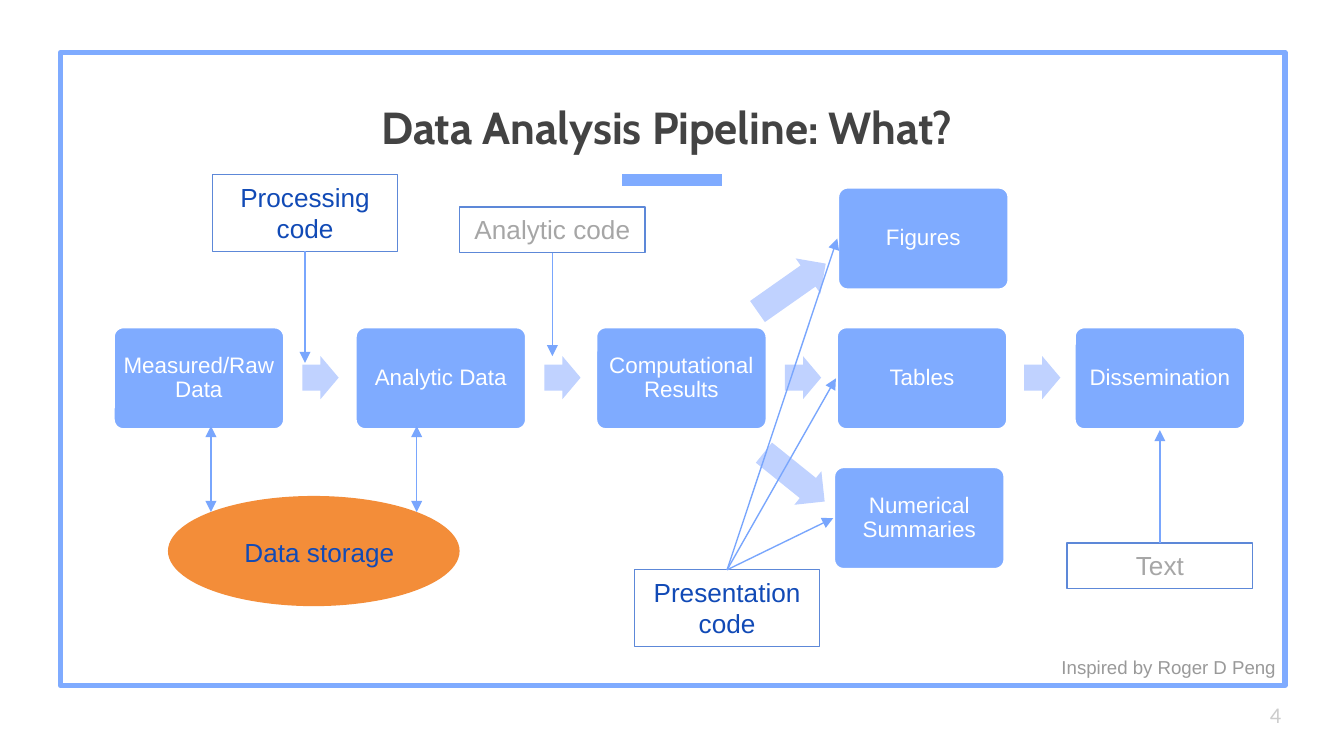
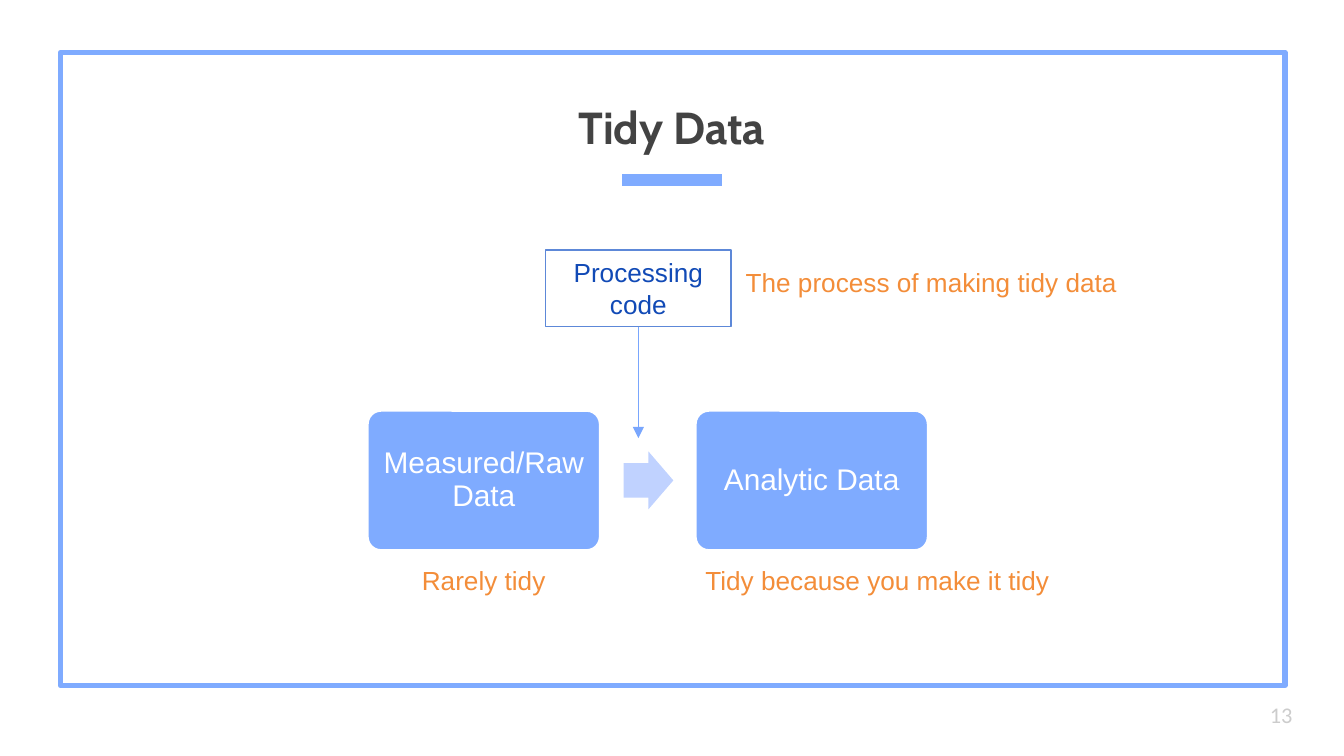
import pptx
import pptx.dml.color
import pptx.enum.shapes
import pptx.enum.text
import pptx.oxml
import pptx.oxml.ns
import pptx.util

SCALE = 9144  # EMU in one px, 100 px to the inch
SHAPE = pptx.enum.shapes.MSO_SHAPE
ALIGN = pptx.enum.text.PP_ALIGN
ANCHOR = pptx.enum.text.MSO_ANCHOR

COLORS = {
    "sky": "7FABFF", "pale": "C0D2FF", "outline": "5D88D8", "link": "79A6FD",
    "navy": "114AB6", "orange": "F38D39", "white": "FFFFFF", "title": "434343",
    "muted": "A6A6A6", "credit": "999999", "number": "CCCCCC",
}

# Font values for each role of text
FONTS = {
    "title": {"name": "Cabin", "size": pptx.util.Pt(24), "bold": True},
    "stage": {"name": "Arial", "size": pptx.util.Pt(12)},
    "large stage": {"name": "Arial", "size": pptx.util.Pt(16)},
    "note": {"name": "Arial", "size": pptx.util.Pt(14)},
    "credit": {"name": "Arial", "size": pptx.util.Pt(10)},
    "number": {"name": "Calibri", "size": pptx.util.Pt(12)},
}


def px(*lengths):
    return [pptx.util.Emu(length * SCALE) for length in lengths]


def rgb(color):
    return pptx.dml.color.RGBColor.from_string(COLORS[color])


def set_values(target, values):
    for name, value in values.items():
        setattr(target, name, value)


# Text
def write(shape, text, role, color, align=ALIGN.CENTER, anchor=ANCHOR.TOP,
          inset=(10, 5), spacing=None):
    side, top = px(*inset)
    frame = shape.text_frame
    set_values(frame, {
        "word_wrap": True, "vertical_anchor": anchor, "margin_left": side,
        "margin_right": side, "margin_top": top, "margin_bottom": top,
    })
    para = frame.paragraphs[0]
    set_values(para, {"alignment": align, "line_spacing": spacing})
    span = para.add_run()
    span.text = text
    set_values(span.font, FONTS[role])
    span.font.color.rgb = rgb(color)


def add_text(page, bounds, text, role, color, align=ALIGN.LEFT, **layout):
    box = page.shapes.add_textbox(*px(*bounds))
    write(box, text, role, color, align, **layout)


# Shapes
def add_shape(page, kind, bounds, fill=None, line=None, width=0.75, adjust=()):
    shape = page.shapes.add_shape(kind, *px(*bounds))
    shape.shadow.inherit = False
    for index, value in enumerate(adjust):
        shape.adjustments[index] = value
    for part, color in ((shape.fill, fill), (shape.line.fill, line)):
        if color:
            part.solid()
            part.fore_color.rgb = rgb(color)
        else:
            part.background()
    if line:
        shape.line.width = pptx.util.Pt(width)
    return shape


def add_stage(page, bounds, text, role="stage", inset=5):
    box = add_shape(page, SHAPE.ROUNDED_RECTANGLE, bounds, "sky", "white", 2, [0.1])
    write(box, text, role, "white", anchor=ANCHOR.MIDDLE,
          inset=(inset, inset), spacing=0.9)
    return box


def add_flow_arrow(page, bounds, rotation=0):
    arrow = add_shape(page, SHAPE.RIGHT_ARROW, bounds, "pale", adjust=[0.6, 0.5])
    arrow.rotation = rotation


def add_stage_row(page, lefts, texts, top, size, arrow_size, **style):
    """Place stages in a row with an arrow in the middle of every gap."""
    width, height = size
    arrow_width, arrow_height = arrow_size
    stages = [add_stage(page, (left, top, width, height), text, **style)
              for left, text in zip(lefts, texts)]
    for left, following in zip(lefts, lefts[1:]):
        arrow_left = (left + width + following - arrow_width) // 2 + 1
        arrow_top = top + (height - arrow_height) // 2
        add_flow_arrow(page, (arrow_left, arrow_top, arrow_width, arrow_height))
    return stages


def add_code_box(page, left, top, text, color="navy", height=57):
    box = add_shape(page, SHAPE.RECTANGLE, (left, top, 138, height), line="outline")
    write(box, text, "note", color)
    return box


# Lines
def add_line(page, start, end, color="link", width=0.75, heads=(),
             begin=None, finish=None):
    """begin and finish are (shape, side) pairs to join the ends to."""
    line = page.shapes.add_connector(
        pptx.enum.shapes.MSO_CONNECTOR.STRAIGHT, *px(*start, *end))
    line.line.color.rgb = rgb(color)
    line.line.width = pptx.util.Pt(width)
    outline = line.line._get_or_add_ln()
    for head in heads:
        outline.append(pptx.oxml.parse_xml(
            f'<a:{head} {pptx.oxml.ns.nsdecls("a")} type="triangle"/>'))
    line._element.spPr.append(pptx.oxml.parse_xml(
        f'<a:effectLst {pptx.oxml.ns.nsdecls("a")}/>'))
    if begin:
        line.begin_connect(*begin)
    if finish:
        line.end_connect(*finish)


def add_pointer(page, start, end, **joints):
    add_line(page, start, end, heads=["tailEnd"], **joints)


# Frame, title and number shared by the pages
def add_page(deck, title, number):
    page = deck.slides.add_slide(deck.slide_layouts[6])
    add_shape(page, SHAPE.RECTANGLE, (45, 39, 911, 471), line="sky", width=3)
    add_line(page, (463, 134), (537, 134), "sky", 6)
    add_text(page, (0, 24, 1000, 100), title, "title", "title", ALIGN.CENTER,
             anchor=ANCHOR.BOTTOM, inset=(10, 10))
    add_text(page, (935, 510, 60, 43), number, "number", "number",
             anchor=ANCHOR.MIDDLE, inset=(10, 10))
    return page


def add_pipeline_page(deck):
    page = add_page(deck, "Data Analysis Pipeline: What? ", "4")

    # Stages and the arrows between them
    stages = add_stage_row(
        page, [84, 264, 443, 622, 799],
        ["Measured/Raw Data", "Analytic Data", "Computational Results",
         "Tables", "Dissemination"], 243, (128, 77), (27, 32))
    tables, dissemination = stages[3:]
    figures = add_stage(page, (623, 139, 128, 77), "Figures")
    summaries = add_stage(page, (620, 347, 128, 77), "Numerical Summaries")
    add_flow_arrow(page, (558, 198, 62, 32), 324.9)
    add_flow_arrow(page, (562, 339, 58, 32), 38.8)

    # Code boxes
    processing = add_code_box(page, 158, 130, "Processing code")
    analytic = add_code_box(page, 342, 154, "Analytic code", "muted", 34)
    presentation = add_code_box(page, 472, 424, "Presentation code")
    text_box = add_code_box(page, 794, 404, "Text", "muted", 34)

    # Pointers from code to the stages
    add_pointer(page, (863, 404), (863, 320),
                begin=(text_box, 0), finish=(dissemination, 2))
    add_pointer(page, (227, 187), (227, 270), begin=(processing, 2))
    add_pointer(page, (411, 188), (411, 265), begin=(analytic, 2))
    for output in (summaries, figures, tables):
        add_pointer(page, (541, 424), (623, 280),
                    begin=(presentation, 0), finish=(output, 1))

    # Storage
    add_shape(page, SHAPE.OVAL, (125, 369, 217, 82), "orange")
    add_text(page, (172, 394, 141, 34), "Data storage", "note", "navy")
    for x in (157, 310):
        add_line(page, (x, 317), (x, 381), heads=["headEnd", "tailEnd"])

    add_text(page, (780, 483, 194, 27), "Inspired by Roger D Peng",
             "credit", "credit")


def add_tidy_page(deck):
    page = add_page(deck, "Tidy Data", "13")
    add_stage_row(page, [273, 517], ["Measured/Raw Data", "Analytic Data"],
                  305, (174, 105), (37, 43), role="large stage", inset=7)
    processing = add_code_box(page, 406, 186, "Processing code")
    add_pointer(page, (475, 243), (475, 326), begin=(processing, 2))

    # Remarks
    for left, top, width, remark in (
            (304, 415, 138, "Rarely tidy"),
            (515, 415, 310, "Tidy because you make it tidy"),
            (545, 193, 390, "The process of making tidy data")):
        add_text(page, (left, top, width, 34), remark, "note", "orange")


def main():
    deck = pptx.Presentation()
    deck.slide_width = px(1000)[0]
    deck.slide_height = deck.slide_width * 9 // 16
    add_pipeline_page(deck)
    add_tidy_page(deck)
    deck.save("out.pptx")


if __name__ == "__main__":
    main()
